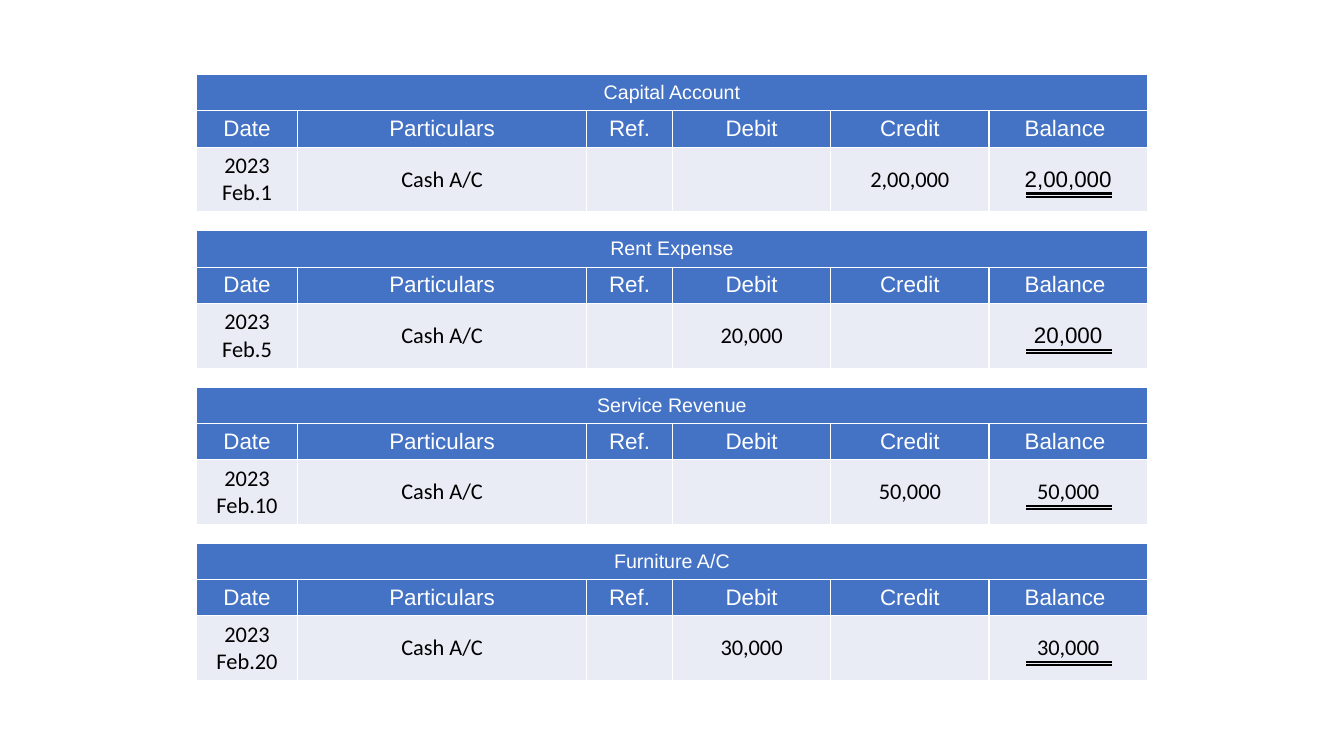
import pptx
import pptx.dml.color
import pptx.enum.shapes
import pptx.enum.text
import pptx.oxml.ns
import pptx.util
from lxml import etree

Inches = pptx.util.Inches

COLORS = {"header": "4472C4", "body": "E9EBF5", "light": "FFFFFF", "dark": "000000"}
LEFT, TOP, PITCH = 1.95, 0.74, 1.55
COLUMNS = [1, 2.87, 0.85, 1.57, 1.57, 1.57]
WIDTH = sum(COLUMNS)
HEADER_H, BODY_H = 0.36, 0.64
RULE_LEFT, RULE_RIGHT = 10.18, 11.03
RULE_OFFSETS = [1.18, 1.21]

HEADINGS = ["Date", "Particulars", "Ref.", "Debit", "Credit", "Balance "]
# title, date, debit, credit, balance, font of the balance
ACCOUNTS = [
    ("Capital Account", "2023 Feb.1", "", "2,00,000", "2,00,000", "Arial"),
    ("Rent Expense", "2023 Feb.5", "20,000", "", "20,000", "Arial"),
    ("Service Revenue", "2023 Feb.10", "", "50,000", "50,000", "Calibri"),
    ("Furniture A/C", "2023 Feb.20", "30,000", "", "30,000", "Calibri"),
]


def rgb(name):
    return pptx.dml.color.RGBColor.from_string(COLORS[name])


def fill_cell(cell, text, size, font, fill, color):
    cell.fill.solid()
    cell.fill.fore_color.rgb = rgb(fill)
    cell.vertical_anchor = pptx.enum.text.MSO_ANCHOR.MIDDLE
    p = cell.text_frame.paragraphs[0]
    p.alignment = pptx.enum.text.PP_ALIGN.CENTER
    if text:
        r = p.add_run()
        r.text = text
        r.font.size = pptx.util.Pt(size)
        r.font.name = font
        r.font.bold = False
        r.font.color.rgb = rgb(color)


prs = pptx.Presentation()
prs.slide_width, prs.slide_height = Inches(13.33), Inches(7.5)
s = prs.slides.add_slide(prs.slide_layouts[6])

for i, (title, date, debit, credit, balance, balance_font) in enumerate(ACCOUNTS):
    top = TOP + i * PITCH

    title_table = s.shapes.add_table(
        1, 1, Inches(LEFT), Inches(top), Inches(WIDTH), Inches(HEADER_H)).table
    fill_cell(title_table.cell(0, 0), title, 14, "Arial", "header", "light")

    ledger = s.shapes.add_table(
        2, len(COLUMNS), Inches(LEFT), Inches(top + HEADER_H),
        Inches(WIDTH), Inches(HEADER_H + BODY_H)).table
    ledger.rows[0].height = Inches(HEADER_H)
    ledger.rows[1].height = Inches(BODY_H)
    entry = [date, "Cash A/C", "", debit, credit, balance]
    fonts = ["Calibri"] * 5 + [balance_font]
    for c, width in enumerate(COLUMNS):
        ledger.columns[c].width = Inches(width)
        fill_cell(ledger.cell(0, c), HEADINGS[c], 16, "Arial", "header", "light")
        fill_cell(ledger.cell(1, c), entry[c], 16, fonts[c], "body", "dark")

# Double rule under each balance
for i in range(len(ACCOUNTS)):
    for offset in RULE_OFFSETS:
        y = Inches(TOP + i * PITCH + offset)
        rule = s.shapes.add_connector(
            pptx.enum.shapes.MSO_CONNECTOR.STRAIGHT,
            Inches(RULE_LEFT), y, Inches(RULE_RIGHT), y)
        rule.line.color.rgb = rgb("dark")
        rule.line.width = pptx.util.Pt(1.5)
        etree.SubElement(rule.element.spPr, pptx.oxml.ns.qn("a:effectLst"))

prs.save("out.pptx")
